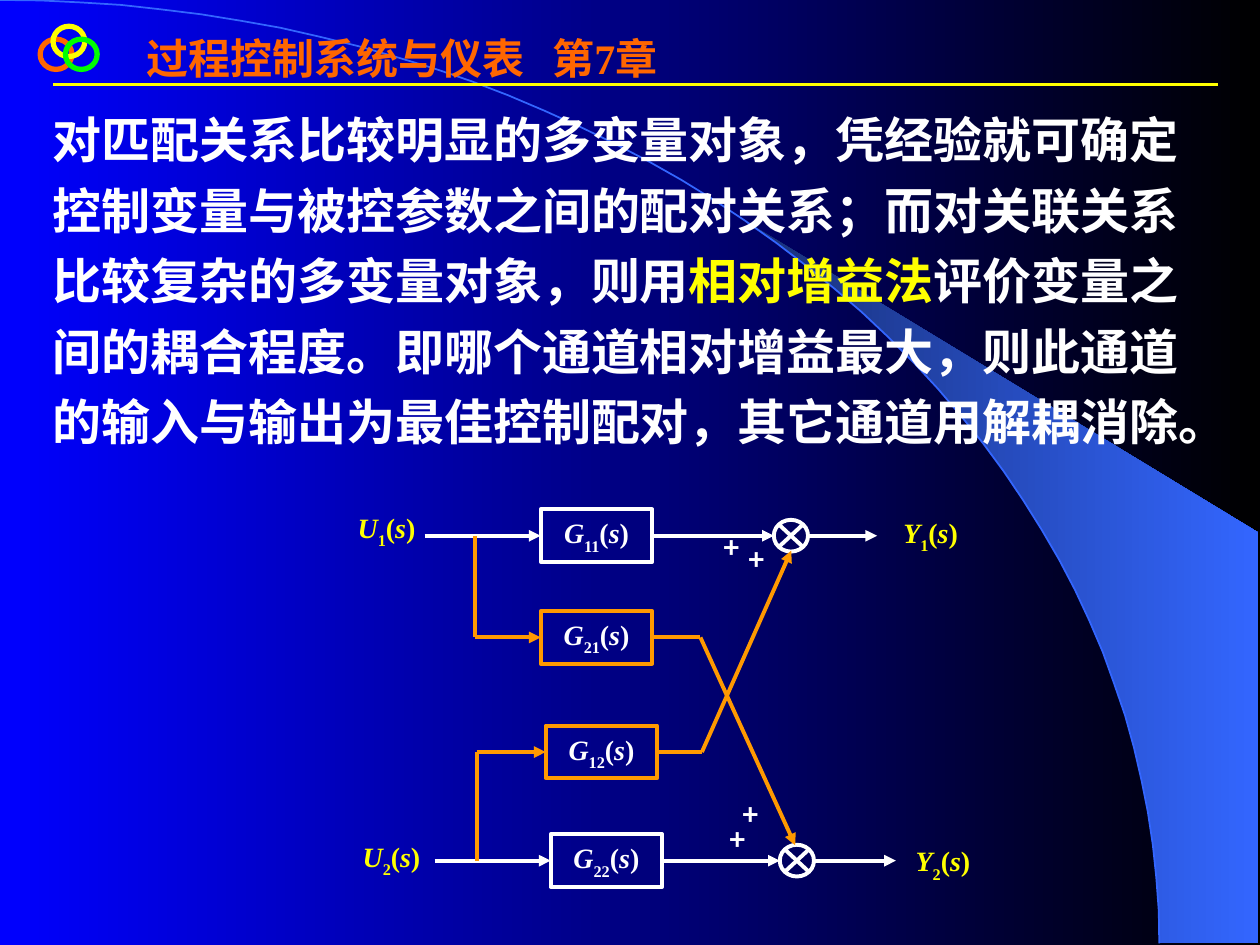
"""Build the slide on pairing control variables in a coupled two-by-two process."""
from dataclasses import dataclass
from math import cos, radians, sin

from lxml.etree import SubElement
from pptx import Presentation
from pptx.dml.color import RGBColor
from pptx.enum.shapes import MSO_CONNECTOR as Connector, MSO_SHAPE as Shape
from pptx.enum.text import MSO_ANCHOR as Anchor, MSO_AUTO_SIZE as AutoSize, PP_ALIGN as Align
from pptx.oxml.ns import qn
from pptx.util import Cm, Pt


@dataclass(frozen=True)
class Theme:
    blue: RGBColor = RGBColor(0x00, 0x00, 0xFF)
    black: RGBColor = RGBColor(0x00, 0x00, 0x00)
    navy: RGBColor = RGBColor(0x18, 0x2F, 0x76)
    sky: RGBColor = RGBColor(0x33, 0x66, 0xFF)
    white: RGBColor = RGBColor(0xFF, 0xFF, 0xFF)
    yellow: RGBColor = RGBColor(0xFF, 0xFF, 0x00)
    amber: RGBColor = RGBColor(0xFF, 0x99, 0x00)
    orange: RGBColor = RGBColor(0xFF, 0x66, 0x00)
    green: RGBColor = RGBColor(0x00, 0xFF, 0x00)
    latin: str = "Times New Roman"
    chinese: str = "Noto Sans CJK SC"
    title: Pt = Pt(24)
    body: Pt = Pt(28)
    label: Pt = Pt(16)


theme = Theme()


def write(para, pieces, size, font=theme.latin):
    for text, color, italic, baseline in pieces:
        span = para.add_run()
        span.text = text
        span.font.size = size
        span.font.bold = True
        span.font.italic = italic
        span.font.color.rgb = color
        span.font.name = font
        properties = span.font._element
        SubElement(properties, qn("a:ea")).set("typeface", theme.chinese)
        if baseline:
            properties.set("baseline", str(baseline))


def symbol(letter, index, color):
    return [(letter, color, True, 0), (index, color, False, -30000),
            ("(", color, False, 0), ("s", color, True, 0), (")", color, False, 0)]


deck = Presentation()
deck.slide_width, deck.slide_height = Cm(25.4), Cm(19.05)
page = deck.slides.add_slide(deck.slide_layouts[1])
shapes = page.shapes

backdrop = page.background.fill
backdrop.gradient()
backdrop.gradient_angle = 0
for stop, color, position in zip(backdrop.gradient_stops, (theme.blue, theme.black), (0, 1)):
    stop.color.rgb, stop.position = color, position

radius_x, radius_y = 2337, 1902
arc = [(radius_x * sin(radians(angle)), radius_y * (1 - cos(radians(angle))))
       for angle in range(0, 91, 2)]
crescent_points = [(2537, radius_y), (2537, 1074)] + arc[20:]

builder = shapes.build_freeform(radius_x, radius_y, scale=Cm(0.01))
builder.add_line_segments(crescent_points, close=True)
crescent = builder.convert_to_shape()
crescent.shadow.inherit = False
crescent.line.fill.background()
crescent.fill.gradient()
crescent.fill.gradient_angle = 0
for stop, color, position in zip(crescent.fill.gradient_stops, (theme.navy, theme.sky), (0, 1)):
    stop.color.rgb, stop.position = color, position

builder = shapes.build_freeform(0, 0, scale=Cm(0.01))
builder.add_line_segments(arc[1:], close=False)
curve = builder.convert_to_shape()
curve.shadow.inherit = False
curve.fill.background()
curve.line.color.rgb, curve.line.width = theme.sky, Pt(1)

title, body = shapes.title, page.placeholders[1]
for box, left, top, width, height in (
    (title, 2.69, 0.53, 12, 2.29),
    (body, 0.81, 1.85, 23.75, 8.7),
):
    box.left, box.top, box.width, box.height = Cm(left), Cm(top), Cm(width), Cm(height)
    frame = box.text_frame
    frame.word_wrap = True
    frame.auto_size = AutoSize.NONE
    frame.vertical_anchor = Anchor.TOP
    para = frame.paragraphs[0]
    para.alignment = Align.LEFT
    para.space_before = Pt(0)
    shapes._spTree.append(box._element)

para = title.text_frame.paragraphs[0]
tabs = SubElement(para._p.get_or_add_pPr(), qn("a:tabLst"))
tab = SubElement(tabs, qn("a:tab"))
tab.set("pos", str(Cm(8.19)))
tab.set("algn", "l")
write(para, [("过程控制系统与仪表\t第7章", theme.orange, False, 0)], theme.title)

para = body.text_frame.paragraphs[0]
para.line_spacing = Pt(40.3)
properties = para._p.get_or_add_pPr()
properties.set("marL", "0")
properties.set("indent", "0")
SubElement(properties, qn("a:buNone"))
write(para, [
    ("对匹配关系比较明显的多变量对象，凭经验就可确定控制变量与被控参数之间的配对关系；"
     "而对关联关系比较复杂的多变量对象，则用", theme.white, False, 0),
    ("相对增益法", theme.yellow, False, 0),
    ("评价变量之间的耦合程度。即哪个通道相对增益最大，则此通道的输入与输出为最佳控制配对，"
     "其它通道用解耦消除。", theme.white, False, 0),
], theme.body)

blocks = {}
for index, left, middle, color in (
    ("11", 10.9, 10.8, theme.white),
    ("21", 10.9, 12.85, theme.amber),
    ("12", 11, 15.16, theme.amber),
    ("22", 11.1, 17.35, theme.white),
):
    block = shapes.add_shape(Shape.RECTANGLE, Cm(left), Cm(middle - 0.53), Cm(2.25), Cm(1.06))
    block.line.color.rgb, block.line.width = color, Pt(2.25)
    block.text_frame.vertical_anchor = Anchor.MIDDLE
    para = block.text_frame.paragraphs[0]
    para.alignment = Align.CENTER
    write(para, symbol("G", index, theme.white), theme.label)
    blocks[index] = block

rings = []
for kind, left, top, width, height, color, weight in (
    (Shape.OVAL, 0.81, 0.79, 0.64, 0.61, theme.orange, 3),
    (Shape.OVAL, 1.07, 0.53, 0.64, 0.61, theme.yellow, 3),
    (Shape.OVAL, 1.32, 0.79, 0.64, 0.61, theme.green, 3),
    (Shape.FLOWCHART_SUMMING_JUNCTION, 15.6, 10.48, 0.69, 0.64, theme.white, 2.25),
    (Shape.FLOWCHART_SUMMING_JUNCTION, 15.72, 17.03, 0.69, 0.64, theme.white, 2.25),
):
    ring = shapes.add_shape(kind, Cm(left), Cm(top), Cm(width), Cm(height))
    ring.line.color.rgb, ring.line.width = color, Pt(weight)
    rings.append(ring)

for outline in [*blocks.values(), *rings]:
    outline.shadow.inherit = False
    outline.fill.background()

for x1, y1, x2, y2, color, weight, arrow, source, target in (
    (1.07, 1.7, 24.56, 1.7, theme.yellow, 1.5, False, None, None),
    (8.56, 10.8, 10.9, 10.8, theme.white, 2.25, True, None, "11"),
    (13.15, 10.8, 15.6, 10.8, theme.white, 2.25, True, "11", None),
    (16.29, 10.8, 17.68, 10.8, theme.white, 2.25, True, None, None),
    (8.76, 17.35, 11.1, 17.35, theme.white, 2.25, True, None, "22"),
    (13.35, 17.35, 15.72, 17.35, theme.white, 2.25, True, "22", None),
    (16.41, 17.35, 18.06, 17.35, theme.white, 2.25, True, None, None),
    (9.58, 10.8, 9.58, 12.85, theme.amber, 2.25, False, None, None),
    (9.58, 12.85, 10.9, 12.85, theme.amber, 2.25, True, None, "21"),
    (13.15, 12.85, 14.12, 12.85, theme.amber, 2.25, False, "21", None),
    (14.12, 12.85, 16.03, 17.04, theme.amber, 2.25, True, None, None),
    (9.61, 17.35, 9.61, 15.16, theme.amber, 2.25, False, None, None),
    (9.61, 15.16, 11, 15.16, theme.amber, 2.25, True, None, "12"),
    (13.25, 15.16, 14.15, 15.16, theme.amber, 2.25, False, "12", None),
    (14.15, 15.16, 15.95, 11.1, theme.amber, 2.25, True, None, None),
):
    line = shapes.add_connector(Connector.STRAIGHT, Cm(x1), Cm(y1), Cm(x2), Cm(y2))
    line.line.color.rgb, line.line.width = color, Pt(weight)
    if arrow:
        SubElement(line.line._get_or_add_ln(), qn("a:tailEnd")).set("type", "triangle")
    SubElement(line._element.spPr, qn("a:effectLst"))
    if source:
        line.begin_connect(blocks[source], 3)
    if target:
        line.end_connect(blocks[target], 1)

plus = [("+", theme.white, False, 0)]
for left, top, pieces, font in (
    (6.96, 10.16, symbol("U", "1", theme.yellow), theme.latin),
    (17.96, 10.26, symbol("Y", "1", theme.yellow), theme.latin),
    (7.06, 16.79, symbol("U", "2", theme.yellow), theme.latin),
    (18.21, 16.89, symbol("Y", "2", theme.yellow), theme.latin),
    (14.33, 10.57, plus, theme.chinese),
    (14.83, 10.82, plus, theme.chinese),
    (14.71, 15.95, plus, theme.chinese),
    (14.45, 16.46, plus, theme.chinese),
):
    width, height = (1.12, 0.99) if pieces is plus else (1.8, 1.25)
    box = shapes.add_textbox(Cm(left), Cm(top), Cm(width), Cm(height))
    box.text_frame.word_wrap = True
    write(box.text_frame.paragraphs[0], pieces, theme.label, font)

deck.save("out.pptx")
